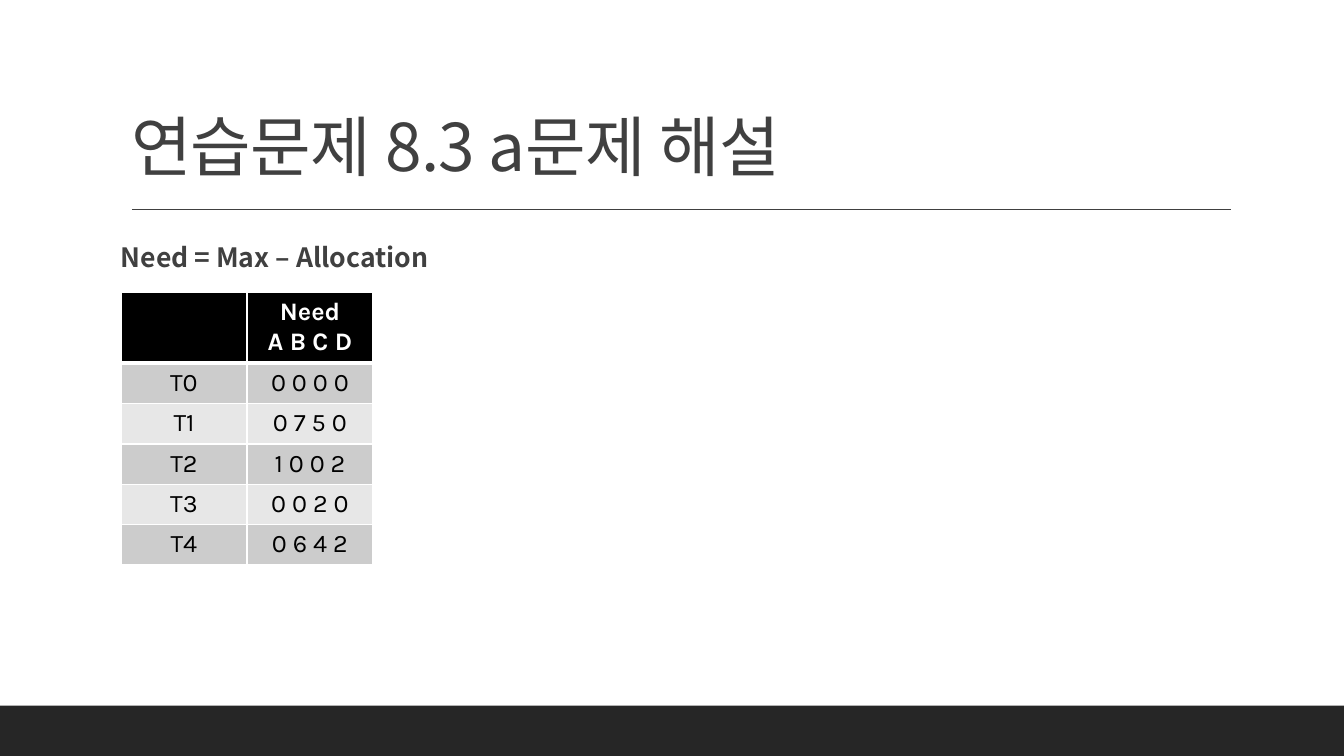
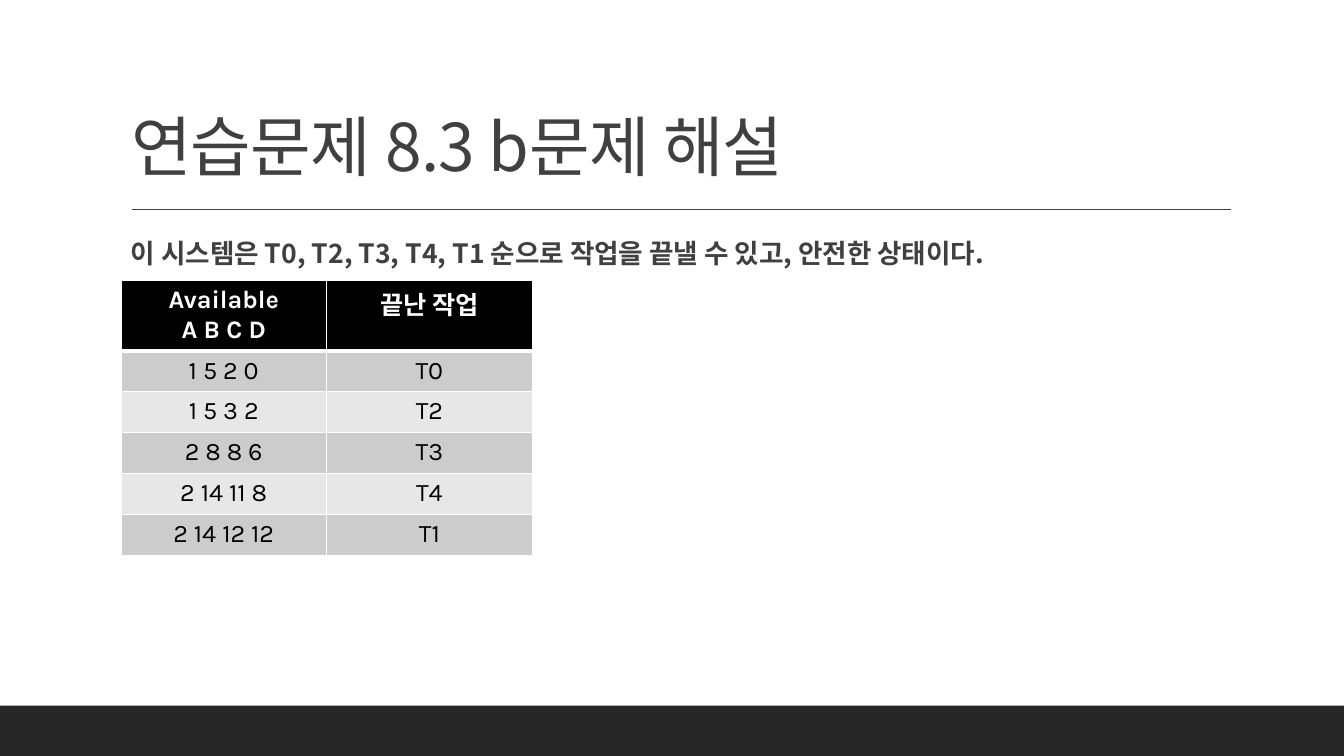
import pptx
import pptx.dml.color
import pptx.enum.shapes
import pptx.enum.text
import pptx.oxml
import pptx.oxml.ns
import pptx.util
from lxml import etree

Pt = pptx.util.Pt
qn = pptx.oxml.ns.qn

COLORS = {
    "ink": "404040",
    "band": "262626",
    "header": "000000",
    "cell_text": "000000",
    "white": "FFFFFF",
    "odd_row": "CCCCCC",
    "even_row": "E7E7E7",
}
HEADING_FONT = "Noto Sans CJK KR"
TABLE_FONT = "Karla"
SLIDE_WIDTH, SLIDE_HEIGHT = 960, 540
MARGIN_LEFT, CONTENT_WIDTH = 86.4, 792
HEADER_HEIGHT = 48


def rgb(name):
    return pptx.dml.color.RGBColor.from_string(COLORS[name])


def style_paragraph(paragraph, face, size, color, bold=False):
    """Set Latin and East Asian fonts for the whole paragraph."""
    font = paragraph.font
    font.name, font.size, font.bold = face, Pt(size), bold
    font.color.rgb = rgb(color)
    properties = paragraph._p.pPr.find(qn("a:defRPr"))
    latin = properties.find(qn("a:latin"))
    east_asian = etree.Element(qn("a:ea"), typeface=HEADING_FONT)
    latin.addnext(east_asian)
    return properties


def add_band_and_rule(slide):
    band = slide.shapes.add_shape(
        pptx.enum.shapes.MSO_SHAPE.RECTANGLE,
        Pt(0), Pt(504), Pt(SLIDE_WIDTH), Pt(SLIDE_HEIGHT - 504))
    band.shadow.inherit = False
    band.fill.solid()
    band.fill.fore_color.rgb = rgb("band")
    band.line.fill.background()

    rule = slide.shapes.add_connector(
        pptx.enum.shapes.MSO_CONNECTOR.STRAIGHT,
        Pt(94.3), Pt(149.6), Pt(879), Pt(149.6))
    rule.line.color.rgb = rgb("ink")
    rule.line.width = Pt(1)
    etree.SubElement(rule._element.spPr, qn("a:effectLst"))


def set_title(slide, text):
    title = slide.shapes.title
    title.left, title.top = Pt(MARGIN_LEFT), Pt(22.4)
    title.width, title.height = Pt(CONTENT_WIDTH), Pt(114.2)
    frame = title.text_frame
    frame.text = text
    frame.word_wrap = True
    frame.auto_size = pptx.enum.text.MSO_AUTO_SIZE.NONE
    frame.vertical_anchor = pptx.enum.text.MSO_ANCHOR.BOTTOM
    paragraph = frame.paragraphs[0]
    paragraph.alignment = pptx.enum.text.PP_ALIGN.LEFT
    paragraph.line_spacing = 0.9
    style_paragraph(paragraph, HEADING_FONT, 47, "ink").set("spc", "-50")


def add_statement(slide, text, top, indent):
    box = slide.shapes.add_textbox(
        Pt(MARGIN_LEFT), Pt(top), Pt(CONTENT_WIDTH), Pt(296))
    frame = box.text_frame
    frame.word_wrap = True
    frame.margin_left, frame.margin_right = Pt(indent), Pt(0)
    frame.text = text
    paragraph = frame.paragraphs[0]
    paragraph.line_spacing = 1.1
    paragraph.space_before, paragraph.space_after = Pt(12), Pt(2)
    style_paragraph(paragraph, HEADING_FONT, 19, "ink", bold=True)


def set_borders(cell, top, bottom):
    """Draw white borders; the side borders are one point wide."""
    properties = cell._tc.get_or_add_tcPr()
    widths = {"lnL": 1, "lnR": 1, "lnT": top, "lnB": bottom}
    for index, (side, width) in enumerate(widths.items()):
        border = etree.Element(qn(f"a:{side}"), w=str(Pt(width)))
        fill = etree.SubElement(border, qn("a:solidFill"))
        etree.SubElement(fill, qn("a:srgbClr"), val=COLORS["white"])
        properties.insert(index, border)


def fill_cell(cell, text, row):
    is_header = row == 0
    fill = "header" if is_header else "odd_row" if row % 2 else "even_row"
    cell.fill.solid()
    cell.fill.fore_color.rgb = rgb(fill)
    set_borders(cell, top=3 if row == 1 else 1, bottom=3 if is_header else 1)
    cell.text = text
    for paragraph in cell.text_frame.paragraphs:
        paragraph.alignment = pptx.enum.text.PP_ALIGN.CENTER
        style_paragraph(paragraph, TABLE_FONT, 18,
                        "white" if is_header else "cell_text", bold=is_header)


def add_state_table(slide, rows, top, column_width, row_height):
    columns = len(rows[0])
    height = HEADER_HEIGHT + row_height * (len(rows) - 1)
    table = slide.shapes.add_table(
        len(rows), columns, Pt(MARGIN_LEFT), Pt(top),
        Pt(column_width * columns), Pt(height)).table
    table.first_row = table.horz_banding = False
    for row, texts in enumerate(rows):
        table.rows[row].height = Pt(row_height if row else HEADER_HEIGHT)
        for column, text in enumerate(texts):
            fill_cell(table.cell(row, column), text, row)


def add_solution_slide(deck, title, statement, table):
    slide = deck.slides.add_slide(deck.slide_layouts[5])
    add_band_and_rule(slide)
    set_title(slide, title)
    add_statement(slide, **statement)
    add_state_table(slide, **table)


SOLUTIONS = [
    {
        "title": "연습문제 8.3 a문제 해설",
        "statement": {"text": "Need = Max – Allocation", "top": 166.3, "indent": 0},
        "table": {
            "rows": [
                ("", "Need\nA B C D"),
                ("T0", "0 0 0 0"),
                ("T1", "0 7 5 0"),
                ("T2", "1 0 0 2"),
                ("T3", "0 0 2 0"),
                ("T4", "0 6 4 2"),
            ],
            "top": 209, "column_width": 90, "row_height": 28.3,
        },
    },
    {
        "title": "연습문제 8.3 b문제 해설",
        "statement": {
            "text": "이 시스템은 T0, T2, T3, T4, T1 순으로 작업을 끝낼 수 있고, 안전한 상태이다.",
            "top": 163.4, "indent": 7.2,
        },
        "table": {
            "rows": [
                ("Available\nA B C D", "끝난 작업"),
                ("1 5 2 0", "T0"),
                ("1 5 3 2", "T2"),
                ("2 8 8 6", "T3"),
                ("2 14 11 8", "T4"),
                ("2 14 12 12", "T1"),
            ],
            "top": 200.2, "column_width": 146.9, "row_height": 29.2,
        },
    },
]


def main():
    deck = pptx.Presentation()
    deck.slide_width, deck.slide_height = Pt(SLIDE_WIDTH), Pt(SLIDE_HEIGHT)
    for solution in SOLUTIONS:
        add_solution_slide(deck, **solution)
    deck.save("out.pptx")


if __name__ == "__main__":
    main()
